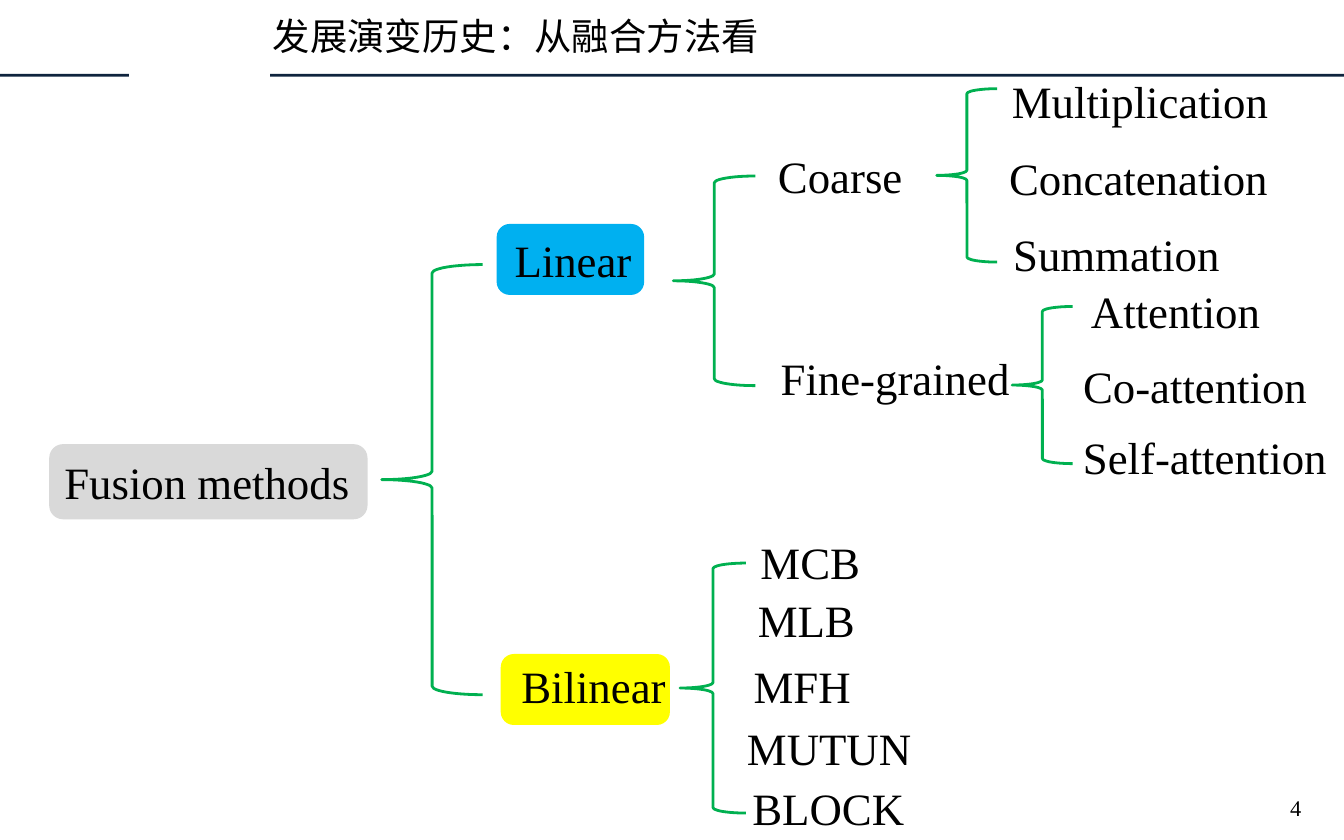
"""Builds a slide with a bracket tree of fusion methods."""
from dataclasses import dataclass

from lxml.etree import SubElement
from pptx import Presentation
from pptx.dml.color import RGBColor
from pptx.enum.shapes import MSO_SHAPE as Preset
from pptx.enum.text import MSO_AUTO_SIZE as AutoSize
from pptx.oxml.ns import qn
from pptx.util import Pt

LATIN_FONT = "Times New Roman"
CHINESE_FONT = "Noto Sans CJK SC"
BLACK, NAVY, GREEN = "000000", "0F243E", "00B050"
LABEL_HEIGHT = 36


@dataclass(frozen=True)
class Box:
    left: float
    top: float
    width: float
    height: float = LABEL_HEIGHT

    def lengths(self) -> list:
        return [Pt(value) for value in (self.left, self.top, self.width, self.height)]


@dataclass(frozen=True)
class Label:
    text: str
    box: Box
    size: float = 24
    font: str = LATIN_FONT
    wrap: bool = False
    spacing: float = 1.0


@dataclass(frozen=True)
class Node:
    box: Box
    color: str
    label: Label


RULES = [Box(144.7, 39.6, 575.3, 1.44), Box(0, 39.6, 69.1, 1.44)]

BRACES = [
    Box(204.5, 141.8, 54, 230.4),
    Box(360.7, 94.3, 43.9, 112.3),
    Box(501.8, 47.5, 32.4, 92.9),
    Box(542.2, 164.2, 32.4, 84.2),
    Box(364.3, 301.7, 35.3, 133.9),
]

NODES = [
    Node(Box(27.4, 239, 168.5, 38.2), "D9D9D9",
         Label("Fusion methods", Box(27.4, 239.8, 168.5))),
    Node(Box(267.1, 121, 77), "00B0F0", Label("Linear", Box(268.6, 121, 83.5))),
    Node(Box(269.3, 351.4, 88.6), "FFFF00", Label("Bilinear", Box(272.2, 349.2, 92.2))),
]

LABELS = [
    Label("发展演变历史：从融合方法看", Box(139, 3.6, 277.2, 31.7), 20, CHINESE_FONT),
    Label("4", Box(684, 414.7, 22.3, 26.6), 12, wrap=True, spacing=1.5),
    Label("Coarse", Box(409.7, 76.3, 87.8)),
    Label("Fine-grained", Box(411.1, 184.3, 138.2)),
    Label("Multiplication", Box(535, 36, 159.1)),
    Label("Concatenation", Box(533.5, 77, 160.6)),
    Label("Summation", Box(535.7, 118, 132.5)),
    Label("Attention", Box(577.4, 148.3, 112.3)),
    Label("Co-attention", Box(573.1, 188.6, 135.4)),
    Label("Self-attention", Box(573.1, 226.8, 146.2)),
    Label("MCB", Box(400.3, 283, 68.4)),
    Label("MLB", Box(398.9, 313.9, 67)),
    Label("MFH", Box(396.7, 349.2, 67)),
    Label("MUTUN", Box(393.1, 382.3, 103.7)),
    Label("BLOCK", Box(396, 414.7, 96.5)),
]


def color_of(value: str) -> RGBColor:
    return RGBColor.from_string(value)


def add_preset(shapes, preset: Preset, box: Box, fill: str = "",
               line: str = "", line_width: float = 1.5) -> None:
    shape = shapes.add_shape(preset, *box.lengths())
    shape.shadow.inherit = False
    if fill:
        shape.fill.solid()
        shape.fill.fore_color.rgb = color_of(fill)
    else:
        shape.fill.background()
    if line:
        shape.line.color.rgb = color_of(line)
        shape.line.width = Pt(line_width)
    else:
        shape.line.fill.background()


def add_label(shapes, label: Label) -> None:
    frame = shapes.add_textbox(*label.box.lengths()).text_frame
    frame.word_wrap = label.wrap
    frame.auto_size = AutoSize.SHAPE_TO_FIT_TEXT
    paragraph = frame.paragraphs[0]
    paragraph.text = label.text
    paragraph.line_spacing = label.spacing
    paragraph.font.size = Pt(label.size)
    paragraph.font.color.rgb = color_of(BLACK)
    paragraph.font.name = label.font
    properties = paragraph._p.get_or_add_pPr().get_or_add_defRPr()
    SubElement(properties, qn("a:ea")).set("typeface", label.font)


def add_node(shapes, node: Node) -> None:
    members = shapes.add_group_shape().shapes
    add_preset(members, Preset.ROUNDED_RECTANGLE, node.box, node.color, node.color, 2)
    add_label(members, node.label)


def main() -> None:
    presentation = Presentation()
    presentation.slide_width, presentation.slide_height = Pt(720), Pt(450)
    shapes = presentation.slides.add_slide(presentation.slide_layouts[6]).shapes
    for rule in RULES:
        add_preset(shapes, Preset.RECTANGLE, rule, fill=NAVY)
    for node in NODES:
        add_node(shapes, node)
    for brace in BRACES:
        add_preset(shapes, Preset.LEFT_BRACE, brace, line=GREEN)
    for label in LABELS:
        add_label(shapes, label)
    presentation.save("out.pptx")


if __name__ == "__main__":
    main()
